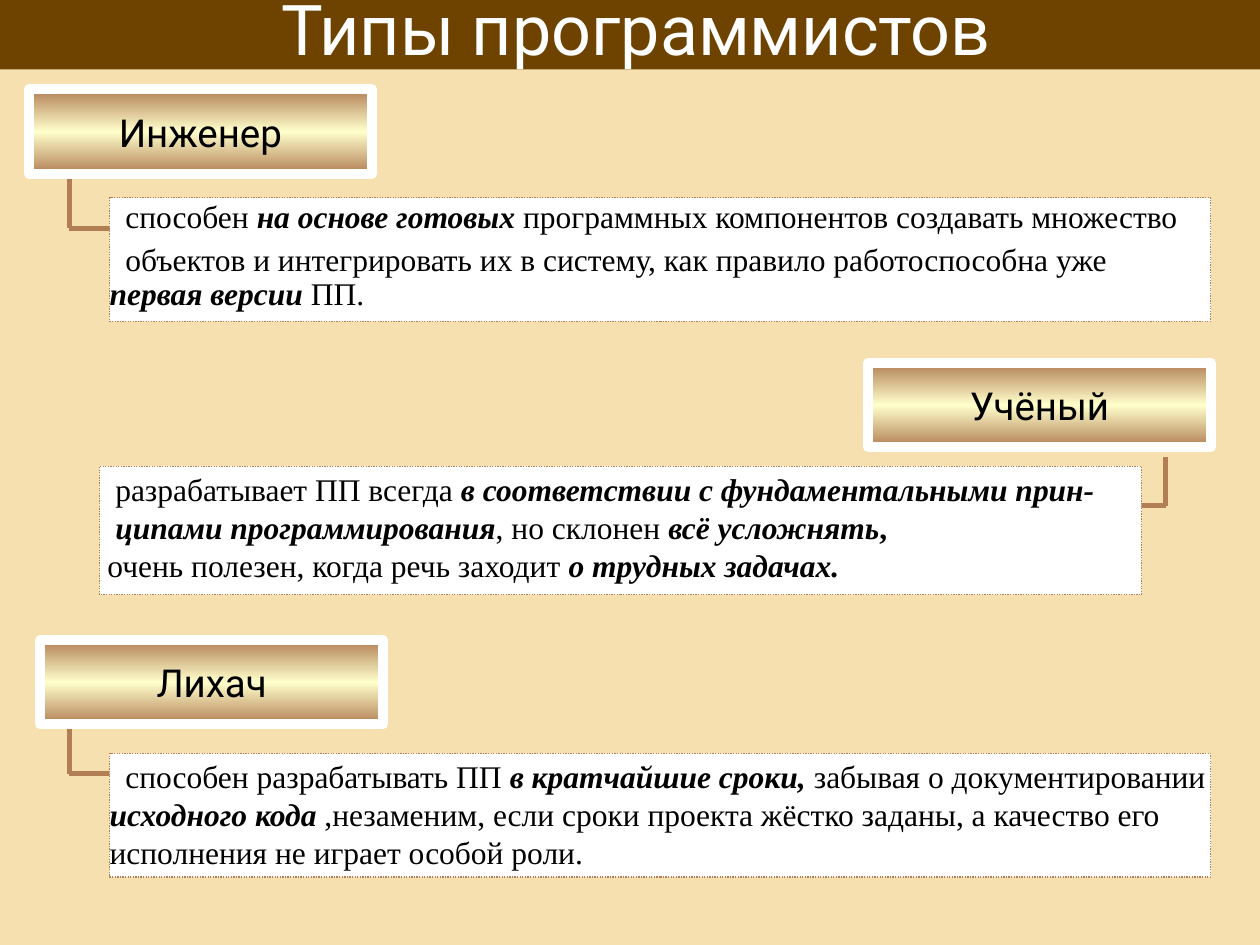
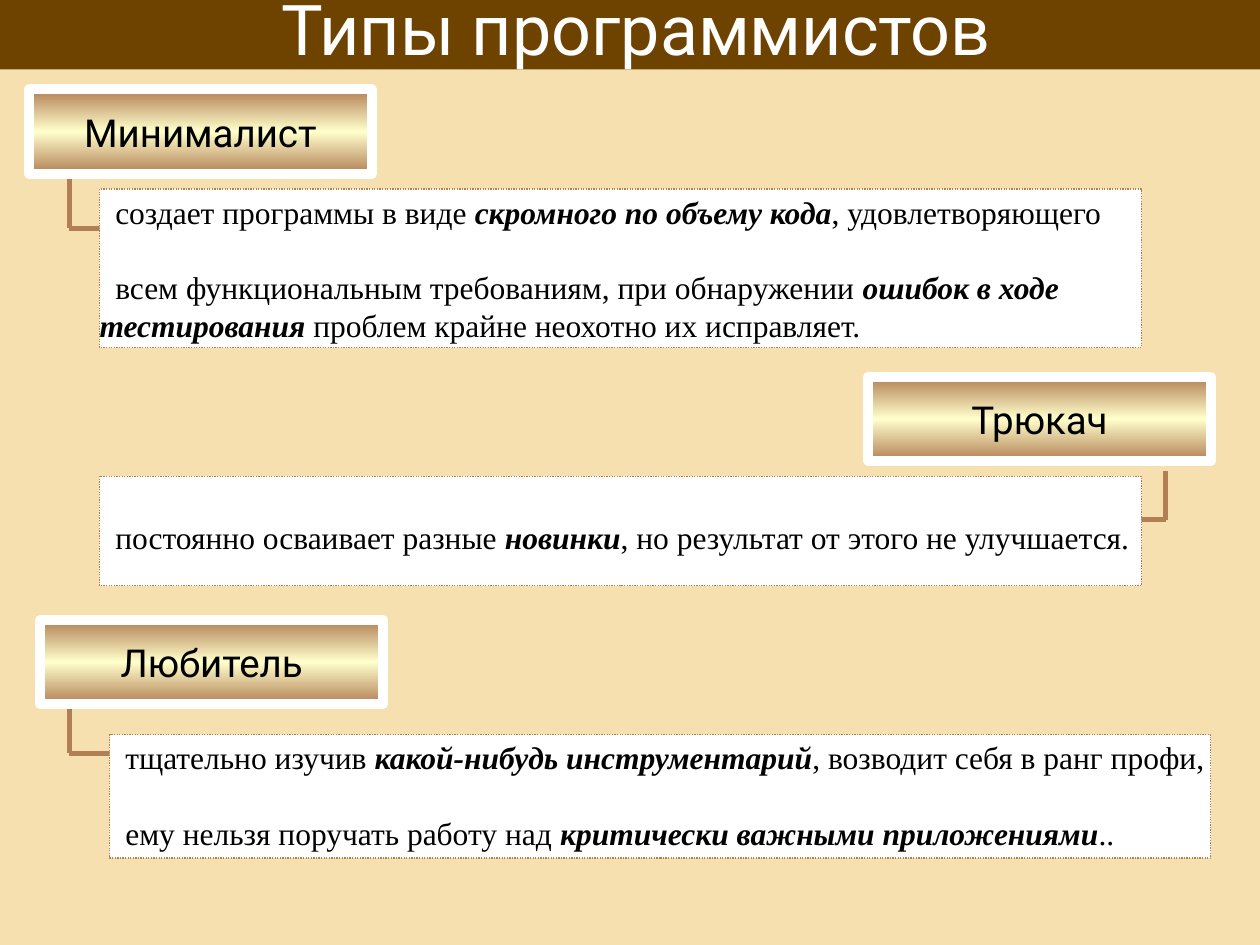
from copy import deepcopy

from pptx import Presentation
from pptx.dml.color import RGBColor
from pptx.enum.dml import MSO_LINE
from pptx.enum.shapes import MSO_CONNECTOR, MSO_SHAPE
from pptx.enum.text import MSO_ANCHOR, MSO_AUTO_SIZE, PP_ALIGN
from pptx.oxml.ns import qn
from pptx.oxml.xmlchemy import OxmlElement
from pptx.util import Inches, Pt

RECT, STRAIGHT = MSO_SHAPE.RECTANGLE, MSO_CONNECTOR.STRAIGHT
MIDDLE, TOP = MSO_ANCHOR.MIDDLE, MSO_ANCHOR.TOP
CENTER, LEFT = PP_ALIGN.CENTER, PP_ALIGN.LEFT
DOTTED, NO_AUTOFIT = MSO_LINE.ROUND_DOT, MSO_AUTO_SIZE.NONE

SAND, BROWN, COPPER, CREAM = "F7E0B0", "6E4300", "B27F54", "FFFFCC"
WHITE, BLACK = "FFFFFF", "000000"
HEAD_FONT, BODY_FONT = "Roboto", "Times New Roman"

LABEL_W, LABEL_H, ELBOW = 2.72, 0.67, 0.39
INDENT = 0.125   # first-line indent of a description
BLANK = 21.5     # one line of description text, in points

# Label left, elbow x, elbow direction, distance from label top to elbow top
UPPER = (0.23, 0.55, 1, 0.71)
RIGHT = (6.89, 9.25, -1, 0.745)
LOWER = (0.32, 0.55, 1, 0.67)

# Left and width of the description boxes
WIDE, NARROW = (0.87, 8.74), (0.79, 8.27)


def rgb(value):
    return RGBColor.from_string(value)


class Deck:
    def __init__(self):
        self.prs = Presentation()
        self.prs.slide_width, self.prs.slide_height = Inches(10), Inches(7.5)
        fill = self.prs.slide_master.background.fill
        fill.solid()
        fill.fore_color.rgb = rgb(SAND)
        self.slide = None

    def new_slide(self, title):
        self.slide = self.prs.slides.add_slide(self.prs.slide_layouts[5])
        band = self.slide.shapes.title
        band.left, band.top = Inches(0), Inches(-0.02)
        band.width, band.height = Inches(10), Inches(0.57)
        band.fill.solid()
        band.fill.fore_color.rgb = rgb(BROWN)
        tf = self.frame(band, MIDDLE, (0.21, 0.06, 0.11, 0.06))
        tf.text = title
        p = tf.paragraphs[0]
        p.alignment, p.line_spacing, p.space_after = CENTER, 0.87, Pt(12.9)
        self.font(p.runs[0], HEAD_FONT, 40, WHITE)

    def frame(self, sp, anchor, insets, wrap=True):
        tf = sp.text_frame
        tf.auto_size, tf.word_wrap, tf.vertical_anchor = NO_AUTOFIT, wrap, anchor
        (tf.margin_left, tf.margin_top,
         tf.margin_right, tf.margin_bottom) = [Inches(v) for v in insets]
        return tf

    def font(self, r, name, size, color, style=""):
        r.font.name, r.font.size = name, Pt(size)
        r.font.color.rgb = rgb(color)
        r.font.bold, r.font.italic = "b" in style, "i" in style

    def rect(self, x, y, w, h, line, width):
        sp = self.slide.shapes.add_shape(
            RECT, Inches(x), Inches(y), Inches(w), Inches(h))
        sp.shadow.inherit = False
        sp.line.color.rgb, sp.line.width = rgb(line), Pt(width)
        return sp

    def line(self, x1, y1, x2, y2):
        c = self.slide.shapes.add_connector(
            STRAIGHT, Inches(x1), Inches(y1), Inches(x2), Inches(y2))
        c.line.color.rgb, c.line.width = rgb(COPPER), Pt(2.83)
        c._element.spPr.append(OxmlElement("a:effectLst"))

    def label(self, text, x, y):
        sp = self.rect(x, y, LABEL_W, LABEL_H, WHITE, 5.67)
        sp.fill.gradient()
        sp.fill.gradient_angle = 90
        stops = sp._element.spPr.find(".//" + qn("a:gsLst"))
        stops.insert(1, deepcopy(stops[0]))
        for stop, place, color in zip(sp.fill.gradient_stops, (0, 0.5, 1),
                                      (COPPER, CREAM, COPPER)):
            stop.position, stop.color.rgb = place, rgb(color)
        tf = self.frame(sp, MIDDLE, (0.14, 0.09, 0.14, 0.09), wrap=False)
        tf.text = text
        tf.paragraphs[0].alignment = CENTER
        self.font(tf.paragraphs[0].runs[0], HEAD_FONT, 22, BLACK)

    def description(self, x, y, w, h, paragraphs, spacing=None, before=0,
                    inset=0.03, indents=(INDENT,) * 3):
        sp = self.rect(x, y, w, h, COPPER, 0.75)
        sp.line.dash_style = DOTTED
        sp.fill.solid()
        sp.fill.fore_color.rgb = rgb(WHITE)
        tf = self.frame(sp, TOP, (0, inset, 0, 0))
        for i, (runs, indent) in enumerate(zip(paragraphs, indents)):
            p = tf.add_paragraph() if i else tf.paragraphs[0]
            p.alignment, p.line_spacing = LEFT, spacing
            p.space_before = Pt(before if i else 0)
            p._p.get_or_add_pPr().set("indent", str(Inches(indent)))
            for text, style in runs:
                if text == "\n":
                    p.add_line_break()
                    continue
                r = p.add_run()
                r.text = text
                self.font(r, BODY_FONT, 18, BLACK, style)

    def programmer(self, name, slot, label_top, column, top, height,
                   paragraphs, **layout):
        label_x, elbow_x, direction, drop = slot
        y = label_top + drop
        self.line(elbow_x, y, elbow_x, y + ELBOW)
        self.line(elbow_x, y + ELBOW, elbow_x + direction * ELBOW, y + ELBOW)
        x, w = column
        self.description(x, top, w, height, paragraphs, **layout)
        self.label(name, label_x, label_top)


def main():
    deck = Deck()
    title = "Типы программистов"

    # Slide 1: engineer, scientist, daredevil
    deck.new_slide(title)
    deck.programmer("Инженер", UPPER, 0.71, WIDE, 1.57, 0.98, [
        [("способен ", ""), ("на основе готовых", "bi"),
         (" программных компонентов создавать множество", "")],
        [("объектов и интегрировать их в систему, как правило "
          "работоспособна уже", ""), ("\n", ""),
         ("первая версии", "bi"), (" ПП.", "")],
    ], spacing=0.9, before=5)
    deck.programmer("Учёный", RIGHT, 2.88, NARROW, 3.7, 1.02, [
        [("разрабатывает ПП всегда ", ""),
         ("в соответствии с фундаментальными прин-", "bi")],
        [("ципами программирования", "bi"), (", но склонен ", ""),
         ("всё усложнять", "bi"), (",", "b")],
        [("очень полезен, когда речь заходит ", ""),
         ("о трудных задачах.", "bi")],
    ], indents=(INDENT, INDENT, INDENT / 2))
    deck.programmer("Лихач", LOWER, 5.08, WIDE, 5.98, 0.98, [
        [("способен разрабатывать ПП ", ""), ("в кратчайшие сроки, ", "bi"),
         ("забывая о документировании ", ""), ("исходного кода", "bi"),
         (" ,незаменим, если сроки проекта жёстко заданы, а качество его "
          "исполнения не играет особой роли.", "")],
    ])

    # Slide 2: minimalist, trickster, amateur
    deck.new_slide(title)
    deck.programmer("Минималист", UPPER, 0.71, NARROW, 1.5, 1.26, [
        [("создает программы в виде ", ""), ("скромного по объему кода", "bi"),
         (", удовлетворяющего", "")],
        [("всем функциональным требованиям, при обнаружении ", ""),
         ("ошибок в ходе тестирования", "bi"),
         (" проблем крайне неохотно их исправляет.", "")],
    ], before=BLANK)
    deck.programmer("Трюкач", RIGHT, 2.99, NARROW, 3.78, 0.87, [
        [("постоянно осваивает разные ", ""), ("новинки", "bi"),
         (", но результат от этого не улучшается.", "")],
    ], inset=0.33)
    deck.programmer("Любитель", LOWER, 4.92, WIDE, 5.83, 0.98, [
        [("тщательно изучив ", ""), ("какой-нибудь инструментарий", "bi"),
         (", возводит себя в ранг профи,", "")],
        [("ему нельзя поручать работу над ", ""),
         ("критически важными приложениями", "bi"), ("..", "")],
    ], before=BLANK)

    deck.prs.save("out.pptx")


if __name__ == "__main__":
    main()
